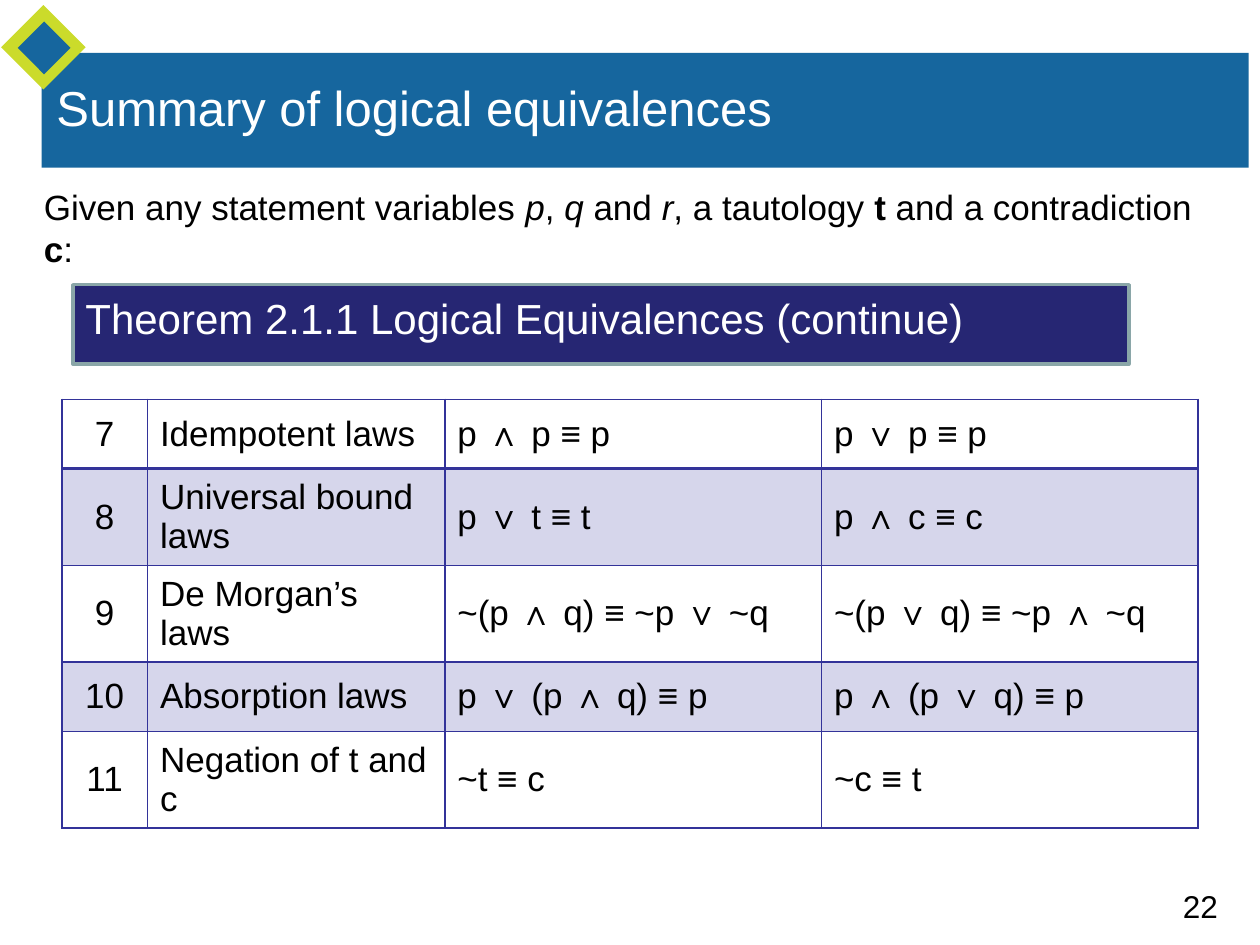
"""Build the slide that summarises logical equivalences 7 to 11."""
from typing import Any, NamedTuple

from lxml.etree import SubElement
from pptx import Presentation
from pptx.dml.color import RGBColor
from pptx.enum.shapes import MSO_SHAPE as Preset
from pptx.enum.text import MSO_ANCHOR as Anchor, PP_ALIGN as Align
from pptx.oxml.ns import qn
from pptx.util import Inches, Pt

COLORS = {
    "banner": "16669E",
    "lime": "CBDB2B",
    "theorem": "262673",
    "theorem_edge": "8AA6A8",
    "grid": "333399",
    "band": "D6D6EB",
    "white": "FFFFFF",
    "black": "000000",
}


class Box(NamedTuple):
    left: float
    top: float
    width: float
    height: float


class Block(NamedTuple):
    box: Box
    preset: Preset
    fill: str
    edge: str | None = None


class Caption(NamedTuple):
    box: Box
    runs: list[tuple[str, dict[str, bool]]]
    size: int
    color: str = "black"
    anchor: Anchor = Anchor.TOP


class Law(NamedTuple):
    number: str
    name: str
    first_form: str
    second_form: str


ITALIC = {"italic": True}
BOLD = {"bold": True}

BLOCKS = [
    Block(Box(0.33, 0.42, 9.58, 0.91), Preset.RECTANGLE, "banner"),
    Block(Box(0.01, 0.04, 0.67, 0.67), Preset.DIAMOND, "lime"),
    Block(Box(0.14, 0.17, 0.42, 0.42), Preset.DIAMOND, "banner"),
    Block(Box(0.58, 2.26, 8.38, 0.63), Preset.RECTANGLE, "theorem", "theorem_edge"),
]

CAPTIONS = [
    Caption(Box(0.35, 0.22, 9, 1.25), [("Summary of logical equivalences", {})],
            28, "white", Anchor.MIDDLE),
    Caption(Box(0.25, 1.42, 9.5, 0.77), [
        ("Given any statement variables ", {}), ("p", ITALIC), (", ", {}),
        ("q", ITALIC), (" and ", {}), ("r", ITALIC), (", a tautology ", {}),
        ("t", BOLD), (" and a contradiction ", {}), ("c", BOLD), (":", {}),
    ], 20),
    Caption(Box(0.58, 2.27, 8.24, 0.5),
            [("Theorem 2.1.1 Logical Equivalences (continue)", {})], 24, "white"),
    Caption(Box(9.29, 6.99, 0.71, 0.4), [("22", {})], 18),
]

LAWS = [
    Law("7", "Idempotent laws", "p ∧ p ≡ p", "p ∨ p ≡ p"),
    Law("8", "Universal bound laws", "p ∨ t ≡ t", "p ∧ c ≡ c"),
    Law("9", "De Morgan’s laws", "~(p ∧ q) ≡ ~p ∨ ~q", "~(p ∨ q) ≡ ~p ∧ ~q"),
    Law("10", "Absorption laws", "p ∨ (p ∧ q) ≡ p", "p ∧ (p ∨ q) ≡ p"),
    Law("11", "Negation of t and c", "~t ≡ c", "~c ≡ t"),
]
LAW_COLUMNS = [0.68, 2.36, 2.99, 2.99]
LAW_ROW = 0.55


def rgb(name: str) -> RGBColor:
    """Return the named colour."""
    return RGBColor.from_string(COLORS[name])


def lengths(box: Box) -> list[Inches]:
    """Return the box as slide lengths."""
    return [Inches(value) for value in box]


def add_run(paragraph: Any, words: str, size: int, color: str, style: dict[str, bool]) -> None:
    """Append a formatted run to the paragraph."""
    run = paragraph.add_run()
    run.text = words
    for attribute, value in {"name": "Arial", "size": Pt(size), **style}.items():
        setattr(run.font, attribute, value)
    run.font.color.rgb = rgb(color)


def draw_block(slide: Any, block: Block) -> None:
    """Draw a filled preset shape."""
    shape = slide.shapes.add_shape(block.preset, *lengths(block.box))
    shape.shadow.inherit = False
    shape.fill.solid()
    shape.fill.fore_color.rgb = rgb(block.fill)
    if block.edge:
        shape.line.color.rgb = rgb(block.edge)
        shape.line.width = Pt(2)
    else:
        shape.line.fill.background()


def draw_caption(slide: Any, caption: Caption) -> None:
    """Draw a text box made of styled runs."""
    frame = slide.shapes.add_textbox(*lengths(caption.box)).text_frame
    for attribute, value in {"word_wrap": True, "vertical_anchor": caption.anchor}.items():
        setattr(frame, attribute, value)
    for words, style in caption.runs:
        add_run(frame.paragraphs[0], words, caption.size, caption.color, style)


def set_borders(cell: Any, widths: dict[str, int]) -> None:
    """Give each side of the cell a solid line."""
    properties = cell._tc.get_or_add_tcPr()
    for side, width in widths.items():
        line = SubElement(properties, qn(f"a:ln{side}"), w=str(Pt(width)))
        fill = SubElement(line, qn("a:solidFill"))
        SubElement(fill, qn("a:srgbClr"), val=COLORS["grid"])


def draw_laws(slide: Any, laws: list[Law]) -> None:
    """Draw the banded table of laws."""
    area = Box(0.49, 3.17, sum(LAW_COLUMNS), LAW_ROW * len(laws))
    table = slide.shapes.add_table(len(laws), len(LAW_COLUMNS), *lengths(area)).table
    for column, width in zip(table.columns, LAW_COLUMNS):
        column.width = Inches(width)
    for row, law in enumerate(laws):
        table.rows[row].height = Inches(LAW_ROW)
        for column, words in enumerate(law):
            cell = table.cell(row, column)
            cell.vertical_anchor = Anchor.MIDDLE
            set_borders(cell, {"L": 1, "R": 1, "T": 2 if row == 1 else 1,
                               "B": 2 if row == 0 else 1})
            cell.fill.solid()
            cell.fill.fore_color.rgb = rgb("band" if row % 2 else "white")
            paragraph = cell.text_frame.paragraphs[0]
            paragraph.alignment = Align.LEFT if column else Align.CENTER
            add_run(paragraph, words, 20, "black", {"bold": False})


def main() -> None:
    """Build and save the slide."""
    deck = Presentation()
    deck.slide_width, deck.slide_height = Inches(10), Inches(7.5)
    slide = deck.slides.add_slide(deck.slide_layouts[6])
    for block in BLOCKS:
        draw_block(slide, block)
    for caption in CAPTIONS:
        draw_caption(slide, caption)
    draw_laws(slide, LAWS)
    deck.save("out.pptx")


if __name__ == "__main__":
    main()
